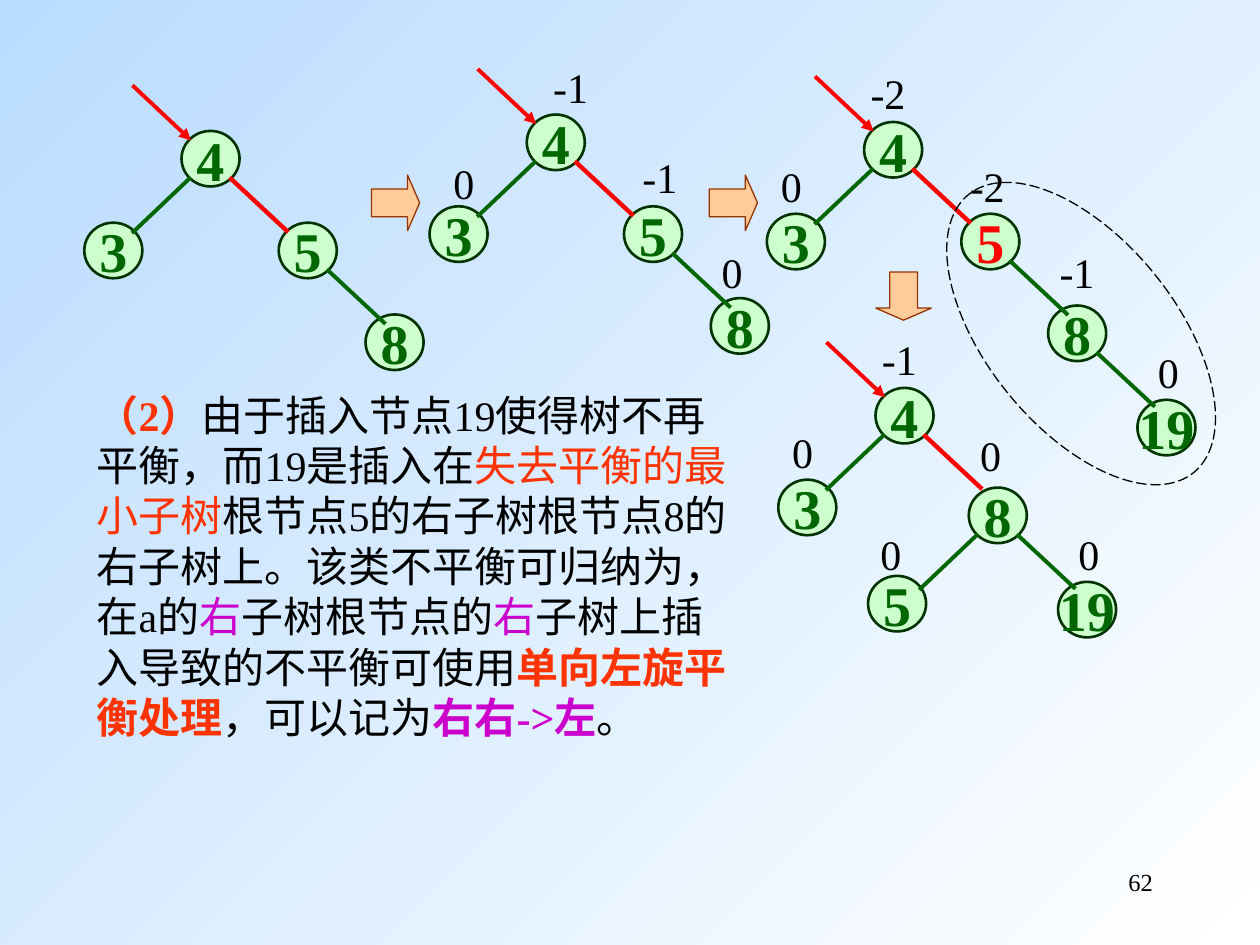
from lxml import etree
from pptx import Presentation
from pptx.dml.color import RGBColor
from pptx.enum import dml, shapes as sh, text as tx
from pptx.oxml.ns import qn
from pptx.util import Cm, Pt

GREEN, RED, BLACK = "006600", "FF0000", "000000"
ORANGE, PURPLE = "FF3300", "CC00CC"
LEFT = (0.18, 0.94, -1.0, 2.06)
RIGHT = (0.97, 0.94, 2.15, 2.04)
ENTRY = (-0.99, -0.92, 0.19, 0.19)

# A node is (value, offset x, offset y, left child, right child, colour).
THREE = ("3", -1.96, 1.85, None, None, GREEN)
EIGHT = ("8", 1.75, 1.85, None, None, GREEN)
LAST = ("19", 1.8, 1.9, None, None, GREEN)
START = ("4", 0, 0, THREE, ("5", 1.96, 1.85, None, EIGHT, GREEN), GREEN)
HEAVY = ("8", 1.75, 1.85, None, LAST, GREEN)
SKEWED = ("4", 0, 0, THREE, ("5", 1.96, 1.85, None, HEAVY, RED), GREEN)
FIVE = ("5", -2.03, 1.78, None, None, GREEN)
TURNED = ("4", 0, 0, THREE, ("8", 1.88, 2.01, FIVE, LAST, GREEN), GREEN)

TREES = [(START, 3.66, 2.64), (START, 10.62, 2.31),
         (SKEWED, 17.42, 2.46), (TURNED, 17.65, 7.82)]
LABELS = [
    ("0", 8.89, 3.05), ("-1", 10.9, 1.12), ("0", 14.3, 4.85), ("-1", 12.7, 2.92),
    ("0", 15.49, 3.12), ("0", 23.09, 6.86), ("-1", 21.11, 4.85),
    ("-2", 19.3, 3.12), ("-2", 17.3, 1.24),
    ("0", 15.72, 8.48), ("0", 21.49, 10.52), ("0", 19.51, 8.53),
    ("0", 17.5, 10.52), ("-1", 17.53, 6.6)]
ARROWS = [(7.49, 3.53, 0), (14.3, 3.53, 0), (17.73, 5.41, 90)]
BODY = [
    ("（2）", ORANGE, True),
    ("由于插入节点19使得树不再平衡，而19是插入在", BLACK, False),
    ("失去平衡的最小子树", ORANGE, False),
    ("根节点5的右子树根节点8的右子树上。该类不平衡可归纳为，在a的", BLACK, False),
    ("右", PURPLE, False), ("子树根节点的", BLACK, False),
    ("右", PURPLE, False), ("子树上插入导致的不平衡可使用", BLACK, False),
    ("单向左旋平衡处理", ORANGE, True), ("，可以记为", BLACK, False),
    ("右右->左", PURPLE, True), ("。", BLACK, False)]


def color(code):
    """Turn a hex string into a colour."""
    return RGBColor.from_string(code)


def style(font, size, code, bold=False):
    """Set face, size, colour and weight of a font."""
    font.name, font.size, font.bold = "Times New Roman", Pt(size), bold
    font.color.rgb = color(code)


def shape(slide, kind, box, fill, line, width):
    """Add a preset shape; no fill when fill is None."""
    form = slide.shapes.add_shape(kind, *map(Cm, box))
    form.shadow.inherit = False
    if fill:
        form.fill.solid()
        form.fill.fore_color.rgb = color(fill)
    else:
        form.fill.background()
    form.line.color.rgb = color(line)
    form.line.width = Pt(width)
    return form


def edge(slide, x, y, span, code, width=2.25, head=False):
    """Draw a line whose ends are offsets from a node's corner."""
    ends = (x + span[0], y + span[1], x + span[2], y + span[3])
    line = slide.shapes.add_connector(sh.MSO_CONNECTOR.STRAIGHT, *map(Cm, ends))
    line.line.color.rgb = color(code)
    line.line.width = Pt(width)
    if head:
        etree.SubElement(line.line._get_or_add_ln(), qn("a:tailEnd"), type="triangle")
    etree.SubElement(line._element.spPr, qn("a:effectLst"))


def node(slide, item, x, y, root=True):
    """Draw a node, its children and the edges to them."""
    value, dx, dy, left, right, code = item
    x, y = x + dx, y + dy
    disc = shape(slide, sh.MSO_SHAPE.OVAL, (x, y, 1.17, 1.12), "CCFFCC", "003300", 1.5)
    frame = disc.text_frame
    frame.text = value
    frame.word_wrap = False
    frame.vertical_anchor = tx.MSO_ANCHOR.MIDDLE
    frame.paragraphs[0].alignment = tx.PP_ALIGN.CENTER
    style(frame.paragraphs[0].runs[0].font, 32, code, True)
    if root:
        edge(slide, x, y, ENTRY, RED, head=True)
    if left:
        node(slide, left, x, y, False)
        edge(slide, x, y, LEFT, GREEN)
    if right:
        node(slide, right, x, y, False)
        edge(slide, x, y, RIGHT, RED if root else GREEN, 2.5 if root else 2.25)


def write(slide, box, runs, size=24, align=tx.PP_ALIGN.LEFT):
    """Add a wrapped text box made of (text, colour, bold) runs."""
    frame = slide.shapes.add_textbox(*map(Cm, box)).text_frame
    frame.word_wrap = True
    para = frame.paragraphs[0]
    para.alignment = align
    for words, code, bold in runs:
        run = para.add_run()
        run.text = words
        style(run.font, size, code, bold)


def shade(slide):
    """Fill the background with a diagonal gradient."""
    fill = slide.background.fill
    fill.gradient()
    fill.gradient_angle = 315
    for stop, code in zip(fill.gradient_stops, ("B9DCFF", "FFFFFF")):
        stop.color.rgb = color(code)


def main():
    """Build the slide and save it."""
    deck = Presentation()
    deck.slide_width, deck.slide_height = Cm(25.4), Cm(19.05)
    slide = deck.slides.add_slide(deck.slide_layouts[6])
    shade(slide)
    for tree, x, y in TREES:
        node(slide, tree, x, y)
    for words, x, y in LABELS:
        write(slide, (x, y, 1.4, 1.27), [(words, BLACK, False)])
    for x, y, turn in ARROWS:
        arrow = shape(slide, sh.MSO_SHAPE.RIGHT_ARROW, (x, y, 0.97, 1.12),
                      "FFCC99", "993300", 0.75)
        arrow.adjustments[0], arrow.adjustments[1] = 0.5, 0.25
        arrow.rotation = turn
    ring = shape(slide, sh.MSO_SHAPE.OVAL, (19.89, 3.12, 3.81, 7.21), None, BLACK, 0.75)
    ring.rotation = 321
    ring.line.dash_style = dml.MSO_LINE.LONG_DASH
    write(slide, (1.7, 7.72, 13.21, 9.93), BODY)
    write(slide, (18.21, 17.35, 5.28, 1.27), [("62", BLACK, False)], 14,
          tx.PP_ALIGN.RIGHT)
    deck.save("out.pptx")


if __name__ == "__main__":
    main()
